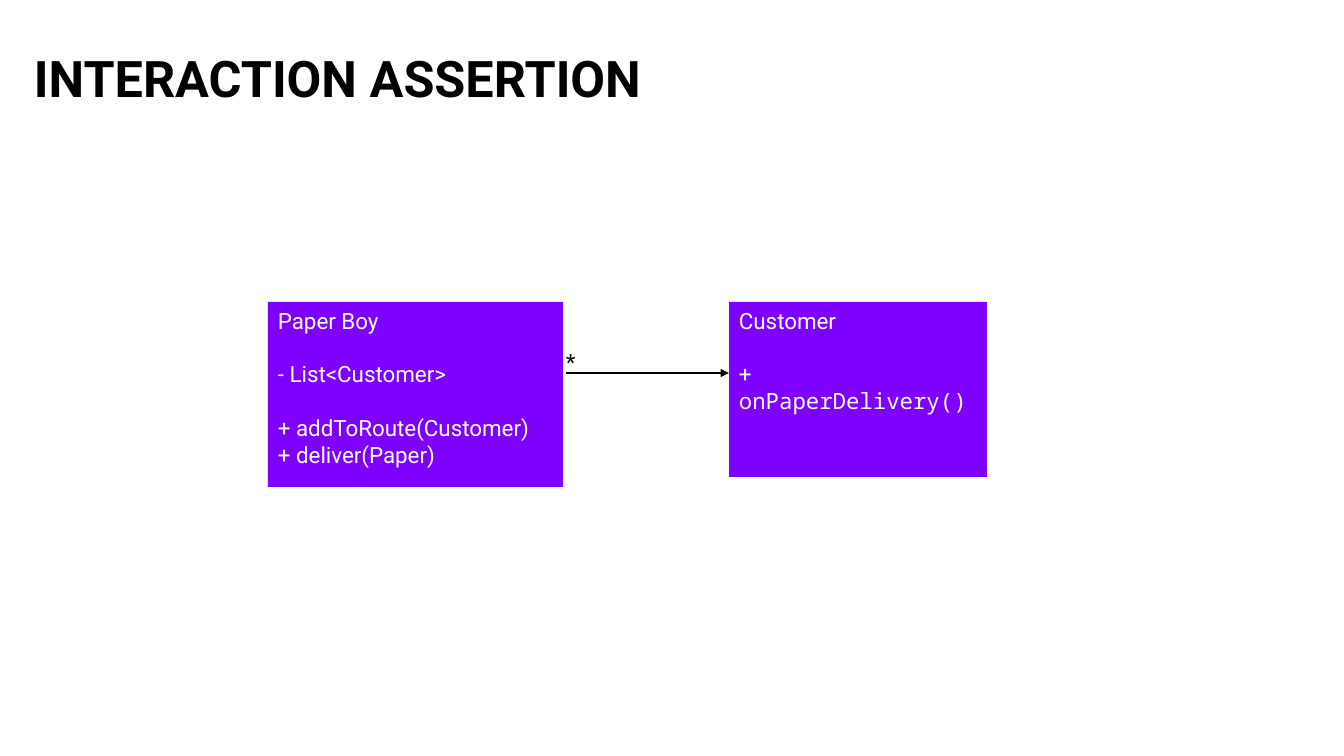
from dataclasses import dataclass

from lxml.etree import SubElement
from pptx import Presentation
from pptx.dml.color import RGBColor as RGB
from pptx.enum.shapes import MSO_CONNECTOR as CONNECTOR, MSO_SHAPE as SHAPE
from pptx.enum.text import MSO_ANCHOR as ANCHOR, PP_ALIGN as ALIGN
from pptx.oxml.ns import qn
from pptx.util import Emu, Pt


@dataclass(frozen=True)
class Theme:
    ink: RGB = RGB(0x00, 0x00, 0x00)
    paper: RGB = RGB(0xFF, 0xFF, 0xFF)
    violet: RGB = RGB(0x7E, 0x00, 0xFF)
    sans: str = "Roboto"
    mono: str = "Noto Sans Mono"
    title_size: int = 36
    body_size: int = 16
    group_gap: int = 19


theme = Theme()


def px(*lengths):
    """Turn slide pixels (100.8 to the inch) into a list of EMU lengths."""
    return [Emu(round(length * 914400 / 100.8)) for length in lengths]


def add_run(paragraph, text, color, size=theme.body_size, face=theme.sans, bold=False):
    run = paragraph.add_run()
    run.text = text
    run.font.name = face
    run.font.size = Pt(size)
    run.font.bold = bold
    run.font.color.rgb = color


deck = Presentation()
deck.slide_width, deck.slide_height = px(1344, 756)
slide = deck.slides.add_slide(deck.slide_layouts[6])
shapes = slide.shapes

# Title
title = shapes.add_textbox(*px(34, 61, 1020, 109)).text_frame
title.word_wrap = True
title.margin_left = title.margin_right = title.margin_bottom = 0
title.margin_top = px(12)[0]
title.paragraphs[0].line_spacing = 0.5
add_run(title.paragraphs[0], "INTERACTION ASSERTION", theme.ink, theme.title_size, bold=True)

# Classes: each holds groups of lines, each line a list of (text, face) runs
sans, mono = theme.sans, theme.mono
classes = [
    ((268, 302, 295, 185), [
        [[("Paper Boy", sans)]],
        [[("- List<Customer>", sans)]],
        [[("+ addToRoute(Customer)", sans)], [("+ deliver(Paper)", sans)]],
    ]),
    ((729, 302, 258, 175), [
        [[("Customer", sans)]],
        [[("+ ", sans), ("onPaperDelivery()", mono)]],
    ]),
]
for bounds, groups in classes:
    class_box = shapes.add_shape(SHAPE.RECTANGLE, *px(*bounds))
    class_box.shadow.inherit = False
    class_box.fill.solid()
    class_box.fill.fore_color.rgb = theme.violet
    class_box.line.fill.background()
    members = class_box.text_frame
    members.word_wrap = True
    members.vertical_anchor = ANCHOR.TOP
    for group_index, group in enumerate(groups):
        for line_index, line in enumerate(group):
            first = group_index == line_index == 0
            member = members.paragraphs[0] if first else members.add_paragraph()
            member.alignment = ALIGN.LEFT
            if group_index and line_index == 0:
                member.space_before = Pt(theme.group_gap)
            for text, face in line:
                add_run(member, text, theme.paper, face=face)

# Association from Paper Boy to Customer
association = shapes.add_connector(CONNECTOR.STRAIGHT, *px(566, 373, 729, 373))
association.line.color.rgb = theme.ink
association.line.width = Pt(1)
SubElement(association.line._get_or_add_ln(), qn("a:tailEnd"), type="triangle")
SubElement(association._element.spPr, qn("a:effectLst"))

multiplicity = shapes.add_textbox(*px(566, 348, 42, 32)).text_frame
multiplicity.word_wrap = True
multiplicity.margin_left = multiplicity.margin_right = multiplicity.margin_top = 0
add_run(multiplicity.paragraphs[0], "*", theme.ink)

deck.save("out.pptx")
